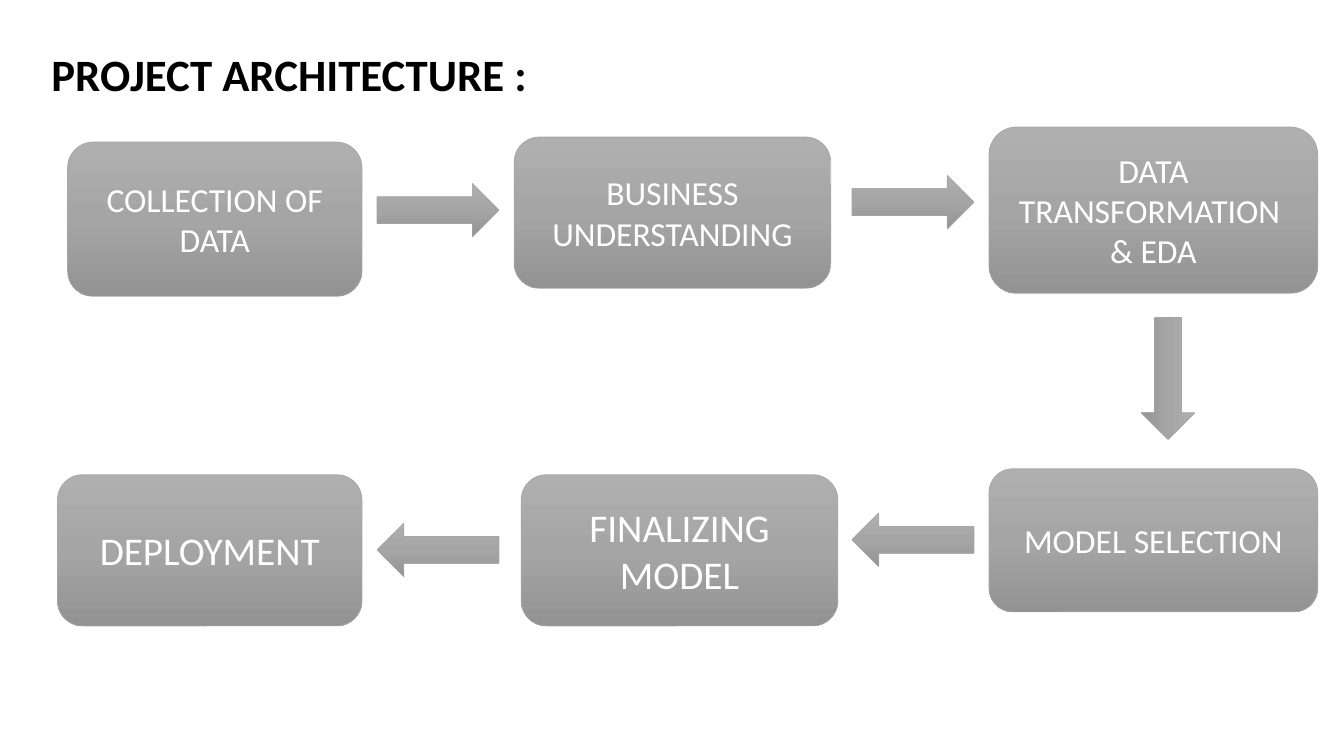
"""Build the project architecture slide: six steps joined by block arrows."""
from copy import deepcopy
from dataclasses import dataclass

from pptx import Presentation
from pptx.dml.color import RGBColor
from pptx.enum.shapes import MSO_SHAPE
from pptx.enum.text import MSO_ANCHOR, MSO_AUTO_SIZE, PP_ALIGN
from pptx.oxml.ns import qn
from pptx.shapes.autoshape import Shape
from pptx.slide import Slide
from pptx.util import Inches, Pt

ROUND = MSO_SHAPE.ROUNDED_RECTANGLE
RIGHT = MSO_SHAPE.RIGHT_ARROW
LEFT = MSO_SHAPE.LEFT_ARROW
MIDDLE, TOP = MSO_ANCHOR.MIDDLE, MSO_ANCHOR.TOP
CENTER, START = PP_ALIGN.CENTER, PP_ALIGN.LEFT
FIXED = MSO_AUTO_SIZE.NONE


@dataclass(frozen=True)
class Theme:
    font: str = "Calibri"
    ink: str = "000000"
    label: str = "FFFFFF"
    edge: str = "A5A5A5"
    shades: tuple[str, ...] = ("AFAFAF", "A5A5A5", "939393")
    title: int = 32
    large: int = 28
    small: int = 24
    line: float = 0.5


@dataclass(frozen=True)
class Step:
    text: str
    left: float
    top: float
    width: float
    height: float
    size: int


@dataclass(frozen=True)
class Arrow:
    kind: MSO_SHAPE
    left: float
    top: float
    turn: int = 0


THEME = Theme()
ARROW_W, ARROW_H = 1.21, 0.53
STEPS = (
    Step("COLLECTION OF DATA", 0.67, 1.41, 2.92, 1.53, THEME.small),
    Step("BUSINESS UNDERSTANDING", 5.1, 1.36, 3.14, 1.5, THEME.small),
    Step("DATA TRANSFORMATION \n& EDA", 9.81, 1.26, 3.26, 1.65, THEME.small),
    Step("MODEL SELECTION", 9.81, 4.65, 3.26, 1.42, THEME.small),
    Step("FINALIZING MODEL", 5.17, 4.71, 3.14, 1.5, THEME.large),
    Step("DEPLOYMENT", 0.57, 4.71, 3.02, 1.5, THEME.large),
)
ARROWS = (
    Arrow(RIGHT, 3.74, 1.82),
    Arrow(RIGHT, 8.45, 1.74),
    Arrow(RIGHT, 10.98, 3.49, 90),
    Arrow(LEFT, 8.45, 5.09),
    Arrow(LEFT, 3.74, 5.19),
)


def write(shape: Shape, text: str, size: int, color: str,
          align: PP_ALIGN, anchor: MSO_ANCHOR, bold: bool = False) -> None:
    """Fill a shape with evenly styled text."""
    frame = shape.text_frame
    frame.text = text
    frame.word_wrap = True
    frame.auto_size = FIXED
    frame.vertical_anchor = anchor
    for para in frame.paragraphs:
        para.alignment = align
        para.font.name = THEME.font
        para.font.size = Pt(size)
        para.font.bold = bold
        para.font.color.rgb = RGBColor.from_string(color)


def add_block(slide: Slide, kind: MSO_SHAPE, left: float, top: float,
              width: float, height: float) -> Shape:
    """Add a preset shape with the grey gradient and thin edge."""
    shape = slide.shapes.add_shape(
        kind, Inches(left), Inches(top), Inches(width), Inches(height))
    shape.shadow.inherit = False
    shape.fill.gradient()
    shape.fill.gradient_angle = 270
    stops = shape._element.spPr.find(".//" + qn("a:gsLst"))
    stops.insert(1, deepcopy(stops[0]))
    for i, (stop, shade) in enumerate(zip(shape.fill.gradient_stops, THEME.shades)):
        stop.position = i / 2
        stop.color.rgb = RGBColor.from_string(shade)
    shape.line.color.rgb = RGBColor.from_string(THEME.edge)
    shape.line.width = Pt(THEME.line)
    return shape


def add_title(slide: Slide) -> None:
    """Place and style the slide title."""
    title = slide.shapes.title
    title.left, title.top = Inches(0.41), Inches(0.41)
    title.width, title.height = Inches(8.59), Inches(1.18)
    write(title, "PROJECT ARCHITECTURE :", THEME.title, THEME.ink, START, TOP, True)


def add_step(slide: Slide, step: Step) -> None:
    """Draw one labelled step."""
    shape = add_block(slide, ROUND, step.left, step.top, step.width, step.height)
    write(shape, step.text, step.size, THEME.label, CENTER, MIDDLE)


def add_arrow(slide: Slide, arrow: Arrow) -> None:
    """Draw one block arrow."""
    shape = add_block(slide, arrow.kind, arrow.left, arrow.top, ARROW_W, ARROW_H)
    shape.rotation = arrow.turn


def main() -> None:
    """Build and save the slide."""
    deck = Presentation()
    deck.slide_width, deck.slide_height = Inches(13.33), Inches(7.5)
    slide = deck.slides.add_slide(deck.slide_layouts[5])
    add_title(slide)
    for step in STEPS:
        add_step(slide, step)
    for arrow in ARROWS:
        add_arrow(slide, arrow)
    deck.save("out.pptx")


if __name__ == "__main__":
    main()
